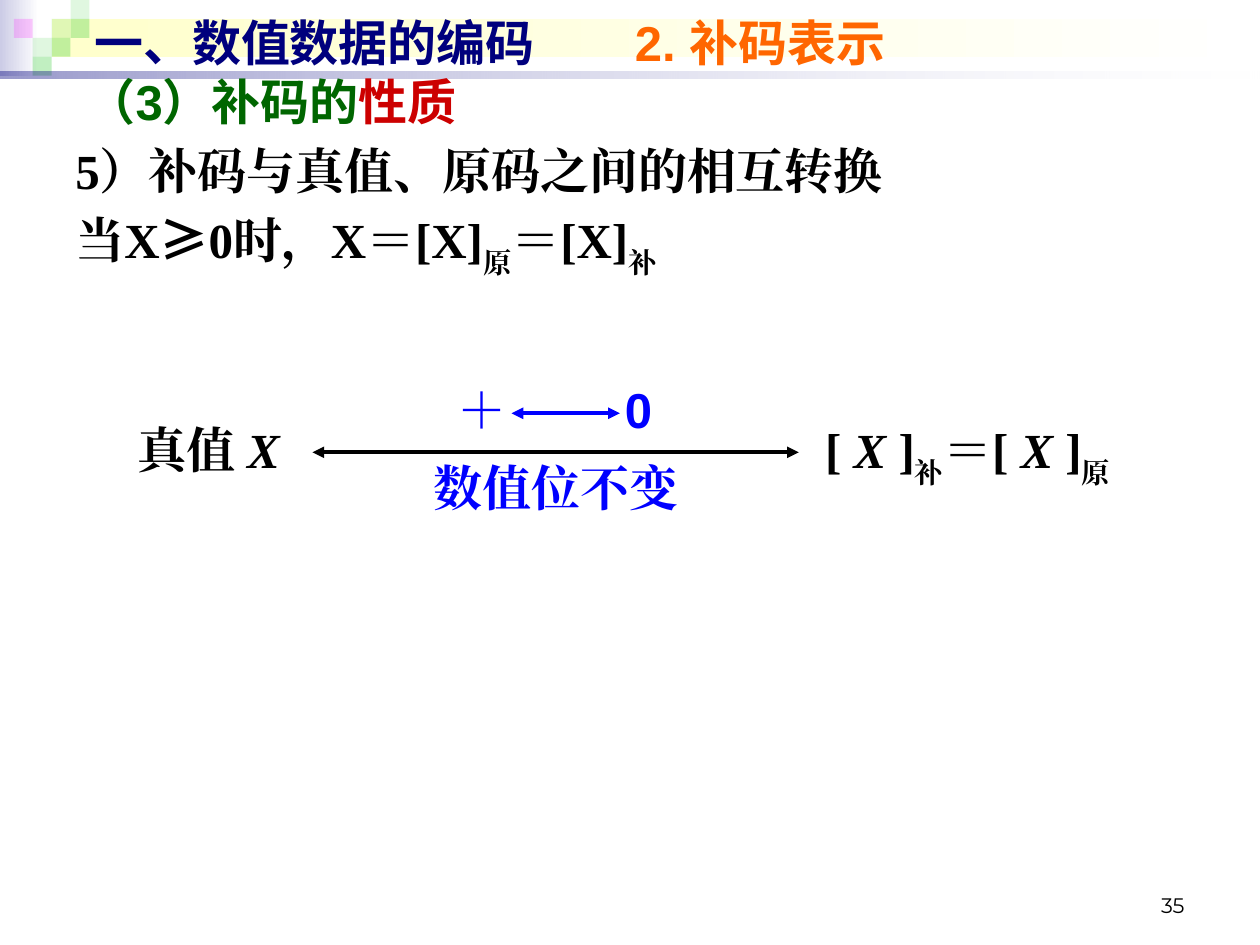
from dataclasses import dataclass

from lxml.etree import SubElement
from pptx import Presentation
from pptx.dml.color import RGBColor
from pptx.enum.shapes import MSO_CONNECTOR, MSO_SHAPE
from pptx.enum.text import MSO_ANCHOR, PP_ALIGN
from pptx.oxml.ns import qn
from pptx.util import Inches, Pt


@dataclass(frozen=True)
class Theme:
    navy: str = "00007D"
    orange: str = "FF6600"
    dark_green: str = "006600"
    red: str = "CC0000"
    blue: str = "0000FF"
    black: str = "000000"
    white: str = "FFFFFF"
    lavender: str = "CCCCE6"
    cream: str = "FFFFCC"
    green: str = "33CC33"
    magenta: str = "FF00FF"
    serif: str = "Times New Roman"
    sans: str = "Arial"
    cjk: str = "Noto Sans CJK SC"
    number: str = "Montserrat"
    body_size: int = 28
    number_size: int = 12


T = Theme()
SUB = {"baseline": -30}
ITALIC = {"italic": True}


def add_run(p, text, size=T.body_size, font=T.serif, color=T.black,
            bold=True, italic=False, baseline=0):
    r = p.add_run()
    r.text = text
    f = r.font
    f.size, f.bold, f.italic, f.name = Pt(size), bold, italic, font
    f.color.rgb = RGBColor.from_string(color)
    rPr = r._r.get_or_add_rPr()
    SubElement(rPr, qn("a:ea")).set("typeface", font)
    if baseline:
        rPr.set("baseline", str(baseline * 1000))


def add_text(s, box, paragraphs, align=PP_ALIGN.LEFT, anchor=MSO_ANCHOR.TOP,
             tab=None, indent=0.1, space_before=0, **fmt):
    """Each paragraph is a list of (text, format overrides)."""
    tf = s.shapes.add_textbox(*map(Inches, box)).text_frame
    tf.word_wrap = True
    tf.vertical_anchor = anchor
    tf.margin_left = Inches(indent)
    for i, runs in enumerate(paragraphs):
        p = tf.paragraphs[0] if i == 0 else tf.add_paragraph()
        if tab:
            tabs = SubElement(p._p.get_or_add_pPr(), qn("a:tabLst"))
            SubElement(tabs, qn("a:tab"), pos=str(Inches(tab)), algn="l")
        p.alignment = align
        if i:
            p.space_before = Pt(space_before)
        for text, extra in runs:
            add_run(p, text, **{**fmt, **extra})


def add_block(s, box, colors, alphas):
    """Borderless rectangle: one colour is solid, two make a gradient."""
    sp = s.shapes.add_shape(MSO_SHAPE.RECTANGLE, *map(Inches, box))
    sp.shadow.inherit = False
    sp.line.fill.background()
    if len(colors) == 1:
        sp.fill.solid()
        targets = [sp.fill.fore_color]
    else:
        sp.fill.gradient()
        sp.fill.gradient_angle = 0
        targets = [stop.color for stop in sp.fill.gradient_stops]
    for target, color in zip(targets, colors):
        target.rgb = RGBColor.from_string(color)
    for clr, alpha in zip(sp._element.spPr.iter(qn("a:srgbClr")), alphas):
        SubElement(clr, qn("a:alpha")).set("val", str(alpha * 1000))


def add_double_arrow(s, x1, x2, y, color):
    line = s.shapes.add_connector(MSO_CONNECTOR.STRAIGHT,
                                  *map(Inches, (x1, y, x2, y)))
    line.line.width = Pt(2.25)
    line.line.color.rgb = RGBColor.from_string(color)
    ln = line.line._get_or_add_ln()
    for end in ("a:headEnd", "a:tailEnd"):
        SubElement(ln, qn(end), type="triangle")
    SubElement(line._element.spPr, qn("a:effectLst"))


def banner(s, x, y, w):
    add_block(s, (x, y, 0.31, 0.6), (T.lavender, T.white), ())
    add_block(s, (x + 0.41, y + 0.15, w - 0.45, 0.3), (T.cream, T.white), ())
    # Mosaic squares: column, row, colour, opacity
    side = 0.15
    for col, row, color, alpha in (
            (2, 1, T.green, 15), (3, 0, T.green, 15), (3, 1, T.green, 30),
            (1, 2, T.green, 15), (0, 1, T.magenta, 20),
            (2, 2, T.green, 30), (1, 3, T.green, 30)):
        add_block(s, (x + 0.11 + col * side, y + row * side, side, side),
                  (color,), (alpha,))
    add_block(s, (x, y + 0.57, w, 0.05), (T.navy, T.white), (40, 10))


def headings(s, x, y, w):
    fmt = {"font": T.sans, "anchor": MSO_ANCHOR.MIDDLE}
    add_text(s, (x + 0.06, y, w, 0.57),
             [[("一、数值数据的编码\t", {"color": T.navy}),
               ("2. 补码表示", {"color": T.orange})]], tab=4.29, **fmt)
    add_text(s, (x, y + 0.47, w, 0.57),
             [[("（3）补码的", {"color": T.dark_green}),
               ("性质", {"color": T.red})]], **fmt)


def body(s, x, y, w, h):
    add_text(s, (x, y, w, h), [
        [("5）补码与真值、原码之间的相互转换", {})],
        [("当X", {}), ("≥", {"font": T.cjk}), ("0时，X＝[X]", {}),
         ("原", SUB), ("＝[X]", {}), ("补", SUB)],
    ], space_before=5.6)


def conversion(s, x, y):
    """True value on the left, codes on the right, rule along the arrow."""
    center = {"align": PP_ALIGN.CENTER}
    add_text(s, (x, y, 1.65, 0.57), [[("真值 ", {}), ("X", ITALIC)]], **center)
    add_double_arrow(s, x + 1.65, x + 5.51, y + 0.31, T.black)
    add_text(s, (x + 5.43, y, 2.84, 0.57), [[
        ("[ ", {}), ("X ", ITALIC), ("]", {}), ("补", SUB),
        ("＝[ ", {}), ("X ", ITALIC), ("]", {}), ("原", SUB)]], **center)
    # Sign mapping above the arrow, value bits below
    add_text(s, (x + 2.2, y - 0.32, 2.76, 0.57),
             [[("＋\t", {}), ("0", {"font": T.sans})]],
             tab=1.33, indent=0.6, color=T.blue)
    add_double_arrow(s, x + 3.23, x + 4.09, y, T.blue)
    add_text(s, (x + 2.36, y + 0.3, 2.44, 0.57), [[("数值位不变", {})]],
             color=T.blue, **center)


def page_number(s, x, y, w, h):
    add_text(s, (x, y, w, h), [[("35", {})]], align=PP_ALIGN.RIGHT,
             anchor=MSO_ANCHOR.BOTTOM, size=T.number_size, font=T.number,
             bold=False)


def main():
    prs = Presentation()
    prs.slide_width, prs.slide_height = Inches(10), Inches(7.5)
    s = prs.slides.add_slide(prs.slide_layouts[6])
    banner(s, 0, 0, 10)
    page_number(s, 7.17, 6.83, 2.33, 0.5)
    headings(s, 0.59, 0.05, 9)
    body(s, 0.5, 1.07, 9.15, 6.14)
    conversion(s, 0.83, 3.28)
    prs.save("out.pptx")


if __name__ == "__main__":
    main()
